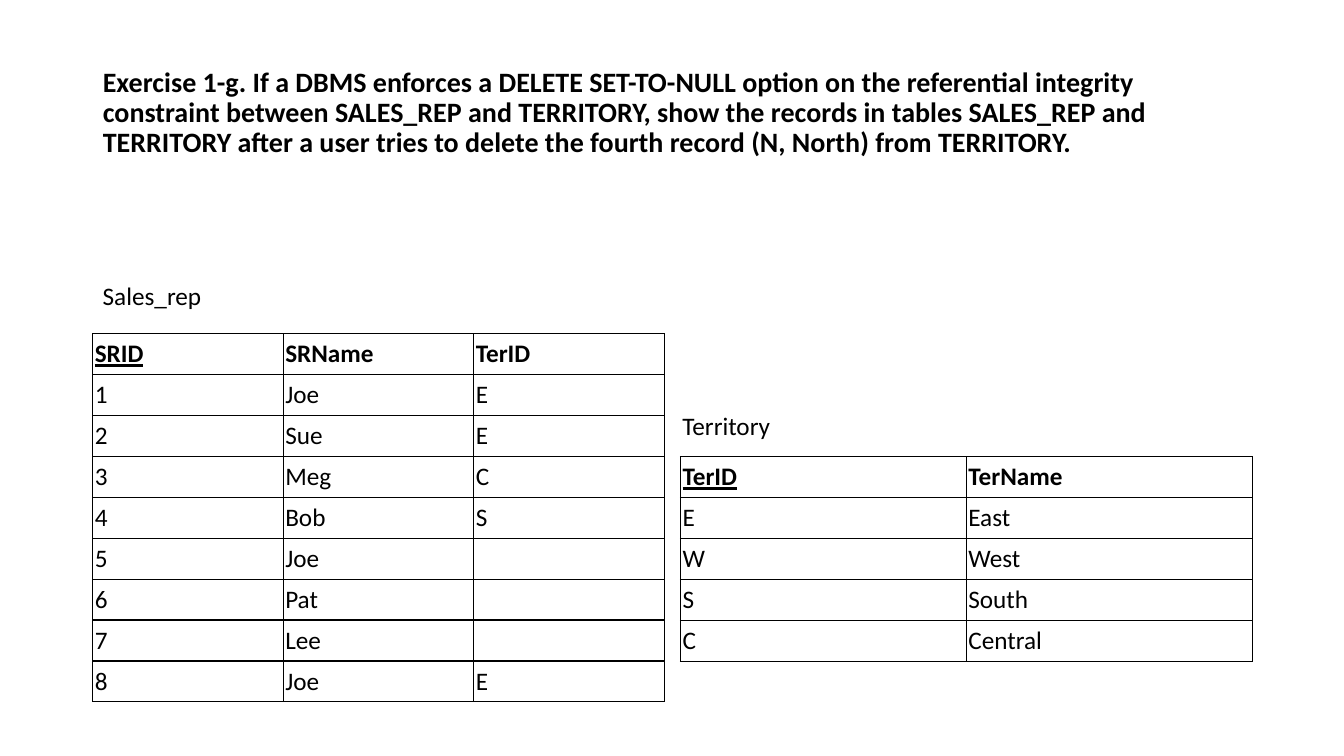
import dataclasses

import pptx
import pptx.dml.color
import pptx.enum.text
import pptx.oxml
import pptx.oxml.ns
import pptx.util

Inches = pptx.util.Inches
Pt = pptx.util.Pt
Anchor = pptx.enum.text.MSO_ANCHOR
INK = "000000"
ROW = 0.406
PAD = Inches(0.02)


@dataclasses.dataclass
class Grid:
    name: str
    label: tuple[float, float, float]
    left: float
    top: float
    width: float
    rows: list[tuple[str, ...]]


GRIDS = [
    Grid("Sales_rep", (0.92, 2.73, 1.19), 0.92, 3.31, 5.67, [
        ("SRID", "SRName", "TerID"),
        ("1", "Joe", "E"),
        ("2", "Sue", "E"),
        ("3", "Meg", "C"),
        ("4", "Bob", "S"),
        ("5", "Joe", ""),
        ("6", "Pat", ""),
        ("7", "Lee", ""),
        ("8", "Joe", "E"),
    ]),
    Grid("Territory", (6.67, 4.02, 1.08), 6.75, 4.53, 5.67, [
        ("TerID", "TerName"),
        ("E", "East"),
        ("W", "West"),
        ("S", "South"),
        ("C", "Central"),
    ]),
]


def color(code: str) -> pptx.dml.color.RGBColor:
    return pptx.dml.color.RGBColor.from_string(code)


def write(frame, text: str, *, size: float = 18, bold: bool = False,
          under: bool = False, space: float = 1.0) -> None:
    para = frame.paragraphs[0]
    para.alignment = pptx.enum.text.PP_ALIGN.LEFT
    para.line_spacing = space
    run = para.add_run()
    run.text = text
    font = run.font
    font.name, font.size = "Calibri", Pt(size)
    font.bold, font.underline = bold, under
    font.color.rgb = color(INK)


def border(cell) -> None:
    props = cell._tc.get_or_add_tcPr()
    for side in ("lnL", "lnR", "lnT", "lnB"):
        props.append(pptx.oxml.parse_xml(
            f'<a:{side} {pptx.oxml.ns.nsdecls("a")} w="{Pt(1)}"><a:solidFill>'
            f'<a:srgbClr val="{INK}"/></a:solidFill></a:{side}>'))


def label(slide, grid: Grid) -> None:
    left, top, width = grid.label
    box = slide.shapes.add_textbox(
        Inches(left), Inches(top), Inches(width), Inches(0.4))
    box.text_frame.word_wrap = False
    box.text_frame.auto_size = pptx.enum.text.MSO_AUTO_SIZE.SHAPE_TO_FIT_TEXT
    write(box.text_frame, grid.name)


def draw(slide, grid: Grid) -> None:
    count, cols = len(grid.rows), len(grid.rows[0])
    table = slide.shapes.add_table(
        count, cols, Inches(grid.left), Inches(grid.top),
        Inches(grid.width), Inches(ROW * count)).table
    table.horz_banding = False
    for r, row in enumerate(grid.rows):
        for c, text in enumerate(row):
            cell = table.cell(r, c)
            cell.margin_left = cell.margin_right = PAD
            cell.margin_top = cell.margin_bottom = PAD
            cell.vertical_anchor = Anchor.MIDDLE
            border(cell)
            cell.fill.background()
            # The first header names the primary key
            write(cell.text_frame, text, bold=r == 0, under=r == c == 0)


def main() -> None:
    deck = pptx.Presentation()
    deck.slide_width, deck.slide_height = Inches(13.33), Inches(7.5)
    slide = deck.slides.add_slide(deck.slide_layouts[5])

    # Exercise text
    title = slide.shapes.title
    title.left, title.top = Inches(0.92), Inches(0.4)
    title.width, title.height = Inches(11.5), Inches(1.45)
    title.text_frame.word_wrap = True
    title.text_frame.vertical_anchor = Anchor.MIDDLE
    write(title.text_frame,
          "Exercise 1-g. If a DBMS enforces a DELETE SET-TO-NULL option on "
          "the referential integrity constraint between SALES_REP and "
          "TERRITORY, show the records in tables SALES_REP and TERRITORY "
          "after a user tries to delete the fourth record (N, North) from "
          "TERRITORY.", size=20, bold=True, space=0.9)

    # Tables with their names
    for grid in GRIDS:
        draw(slide, grid)
        label(slide, grid)

    deck.save("out.pptx")


if __name__ == "__main__":
    main()
